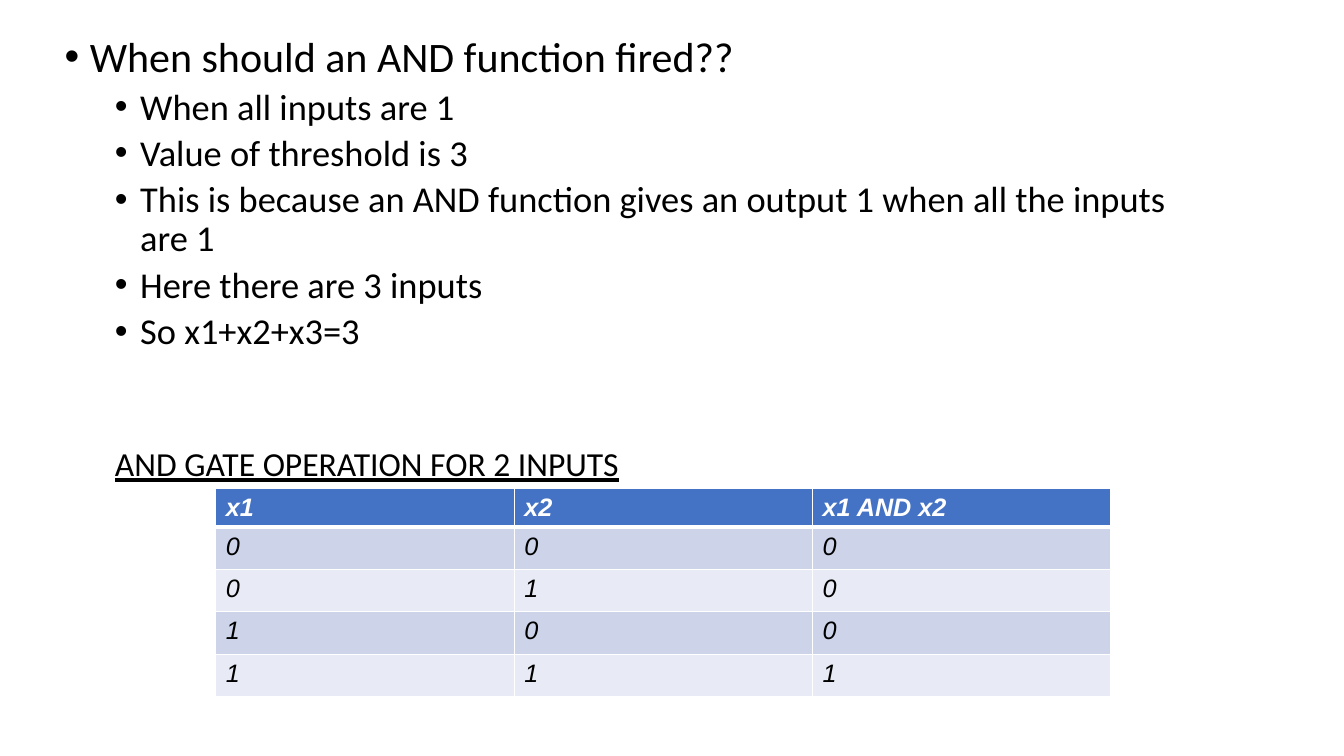
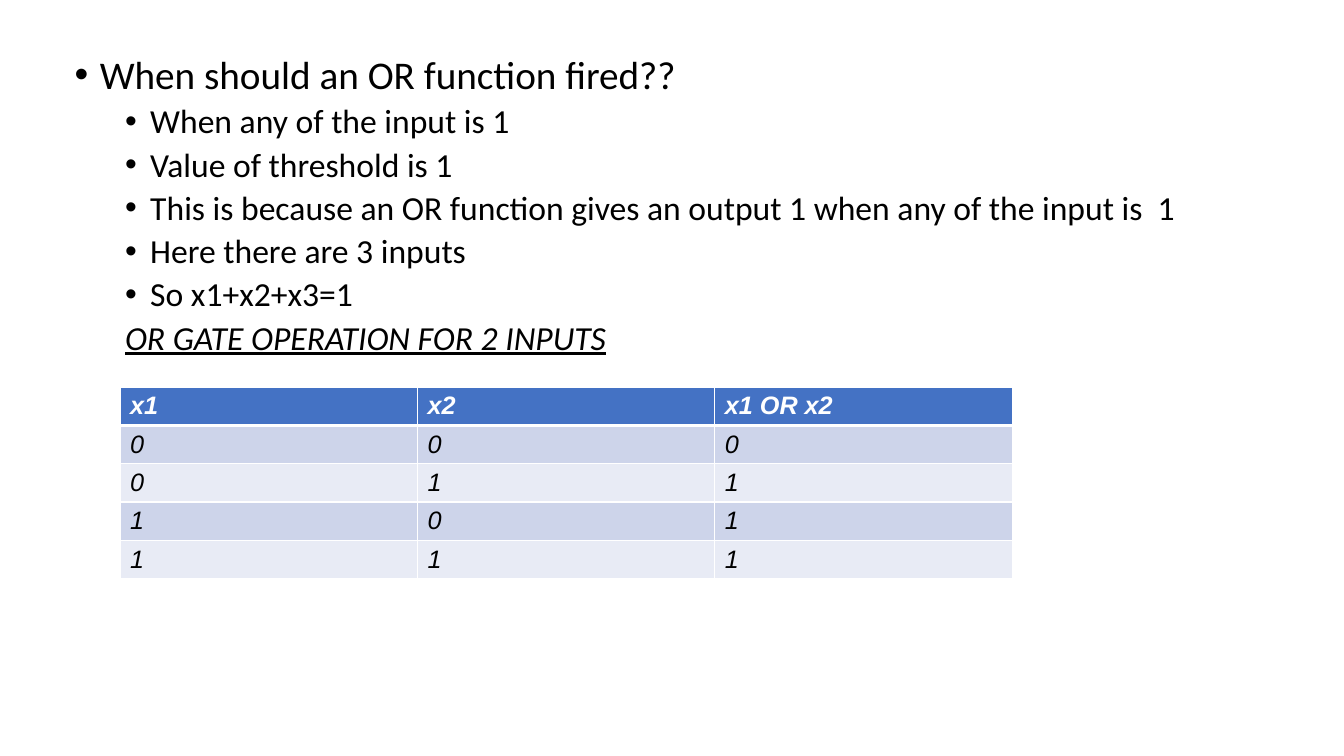
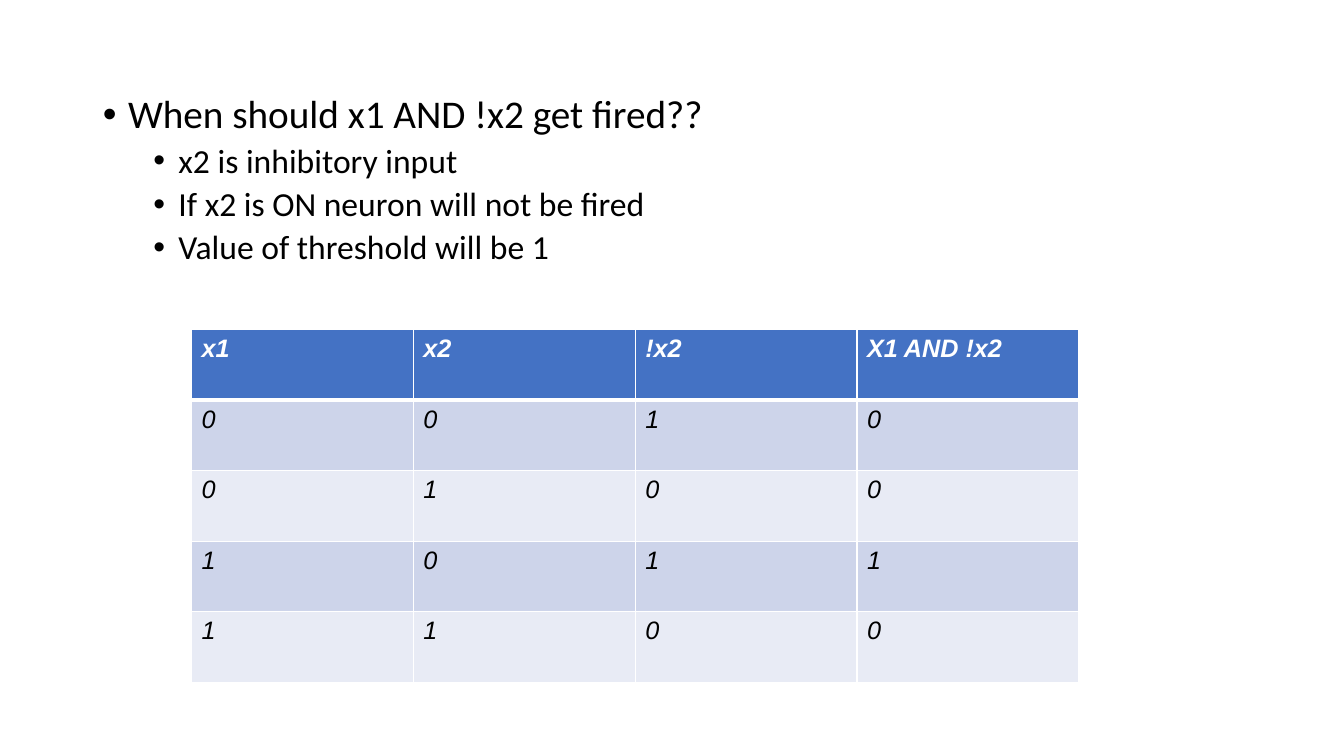
from lxml.etree import SubElement
from pptx import Presentation
from pptx.dml.color import RGBColor
from pptx.enum.text import MSO_AUTO_SIZE as AutoSize, MSO_VERTICAL_ANCHOR as Anchor
from pptx.oxml.ns import qn
from pptx.util import Inches, Pt

COLORS = {
    "text": "000000",
    "white": "FFFFFF",
    "header": "4472C4",
    "odd_row": "CDD4EA",
    "even_row": "E8EBF5",
}
LEVEL_GAP = 0.5
HANGING = 0.25

SLIDES = [
    {
        "body": (0.54, 0.31, 11.5, 6.9),
        "question": "When should an AND function fired??",
        "sizes": (30, 26),
        "points": [
            "When all inputs are 1",
            "Value of threshold is 3",
            "This is because an AND function gives an output 1 when all the inputs are 1",
            "Here there are 3 inputs",
            "So x1+x2+x3=3",
        ],
        "caption": "AND GATE OPERATION FOR 2 INPUTS",
        "caption_italic": False,
        "caption_gap": 68,
        "table_at": (2.14, 4.85),
        "column_width": 2.96,
        "row_heights": (0.38, 0.42),
        "rows": [("x1", "x2", "x1 AND x2"), "000", "010", "100", "111"],
    },
    {
        "body": (0.64, 0.5, 11.5, 4.76),
        "question": "When should an OR function fired??",
        "sizes": (28, 24),
        "points": [
            "When any of the input is 1",
            "Value of threshold is 1",
            "This is because an OR function gives an output 1 when any of the input is  1",
            "Here there are 3 inputs",
            "So x1+x2+x3=1",
        ],
        "caption": "OR GATE OPERATION FOR 2 INPUTS",
        "caption_italic": True,
        "caption_gap": 5,
        "table_at": (1.19, 3.84),
        "column_width": 2.95,
        "row_heights": (0.38, 0.38),
        "rows": [("x1", "x2", "x1 OR x2"), "000", "011", "101", "111"],
    },
    {
        "body": (0.92, 0.89, 11.5, 5.86),
        "question": "When should x1 AND !x2 get fired??",
        "sizes": (28, 24),
        "points": [
            "x2 is inhibitory input",
            "If x2 is ON neuron will not be fired",
            "Value of threshold will be 1",
        ],
        "caption": None,
        "table_at": (1.9, 3.27),
        "column_width": 2.2,
        "row_heights": (0.7, 0.7),
        "rows": [("x1", "x2", "!x2", "X1 AND !x2"), "0010", "0100", "1011", "1100"],
    },
]


def write(paragraph, text, size, font="Calibri", color="text", bold=False,
          italic=False, underline=False):
    run = paragraph.add_run()
    run.text = text
    run.font.size = Pt(size)
    run.font.name = font
    run.font.color.rgb = RGBColor.from_string(COLORS[color])
    run.font.bold = bold
    run.font.italic = italic
    run.font.underline = underline


def add_item(frame, text, level, space_before, bullet=True, **text_format):
    paragraph = frame.add_paragraph() if frame.paragraphs[0].runs else frame.paragraphs[0]
    paragraph.level = level
    paragraph.line_spacing = 0.9
    paragraph.space_before = Pt(space_before)
    properties = paragraph._p.get_or_add_pPr()
    hanging = HANGING if bullet else 0
    properties.set("marL", str(Inches(level * LEVEL_GAP + hanging)))
    properties.set("indent", str(Inches(-hanging)))
    if bullet:
        bullet_color = SubElement(properties, qn("a:buClr"))
        SubElement(bullet_color, qn("a:srgbClr"), val=COLORS["text"])
        SubElement(properties, qn("a:buFont"), typeface="Arial")
        SubElement(properties, qn("a:buChar"), char="•")
    else:
        SubElement(properties, qn("a:buNone"))
    write(paragraph, text, **text_format)


presentation = Presentation()
presentation.slide_width = Inches(13.33)
presentation.slide_height = Inches(7.5)

for content in SLIDES:
    slide = presentation.slides.add_slide(presentation.slide_layouts[1])
    title = slide.shapes.title._element
    title.getparent().remove(title)

    body = slide.placeholders[1]
    body.left, body.top, body.width, body.height = map(Inches, content["body"])
    frame = body.text_frame
    frame.auto_size = AutoSize.NONE
    frame.vertical_anchor = Anchor.TOP
    question_size, point_size = content["sizes"]
    add_item(frame, content["question"], 0, 0, size=question_size)
    for point in content["points"]:
        add_item(frame, point, 1, 5, size=point_size)
    if content["caption"]:
        add_item(frame, content["caption"], 1, content["caption_gap"], bullet=False,
                 size=24, italic=content["caption_italic"], underline=True)

    rows = content["rows"]
    column_count = len(rows[0])
    header_height, row_height = content["row_heights"]
    left, top = content["table_at"]
    table = slide.shapes.add_table(
        len(rows), column_count, Inches(left), Inches(top),
        Inches(content["column_width"] * column_count),
        Inches(header_height + row_height * (len(rows) - 1))).table
    for column in table.columns:
        column.width = Inches(content["column_width"])

    for row_index, values in enumerate(rows):
        is_header = row_index == 0
        table.rows[row_index].height = Inches(header_height if is_header else row_height)
        fill = "header" if is_header else "odd_row" if row_index % 2 else "even_row"
        border_widths = {
            "lnL": 1,
            "lnR": 1,
            "lnT": 3 if row_index == 1 else 1,
            "lnB": 3 if is_header else 1,
        }
        for column_index, value in enumerate(values):
            cell = table.cell(row_index, column_index)
            write(cell.text_frame.paragraphs[0], value, 18, font="Arial",
                  color="white" if is_header else "text", bold=is_header, italic=True)
            cell_properties = cell._tc.get_or_add_tcPr()
            for side, width in border_widths.items():
                line = SubElement(cell_properties, qn("a:" + side), w=str(Pt(width)))
                line_fill = SubElement(line, qn("a:solidFill"))
                SubElement(line_fill, qn("a:srgbClr"), val=COLORS["white"])
            cell.fill.solid()
            cell.fill.fore_color.rgb = RGBColor.from_string(COLORS[fill])

presentation.save("out.pptx")
